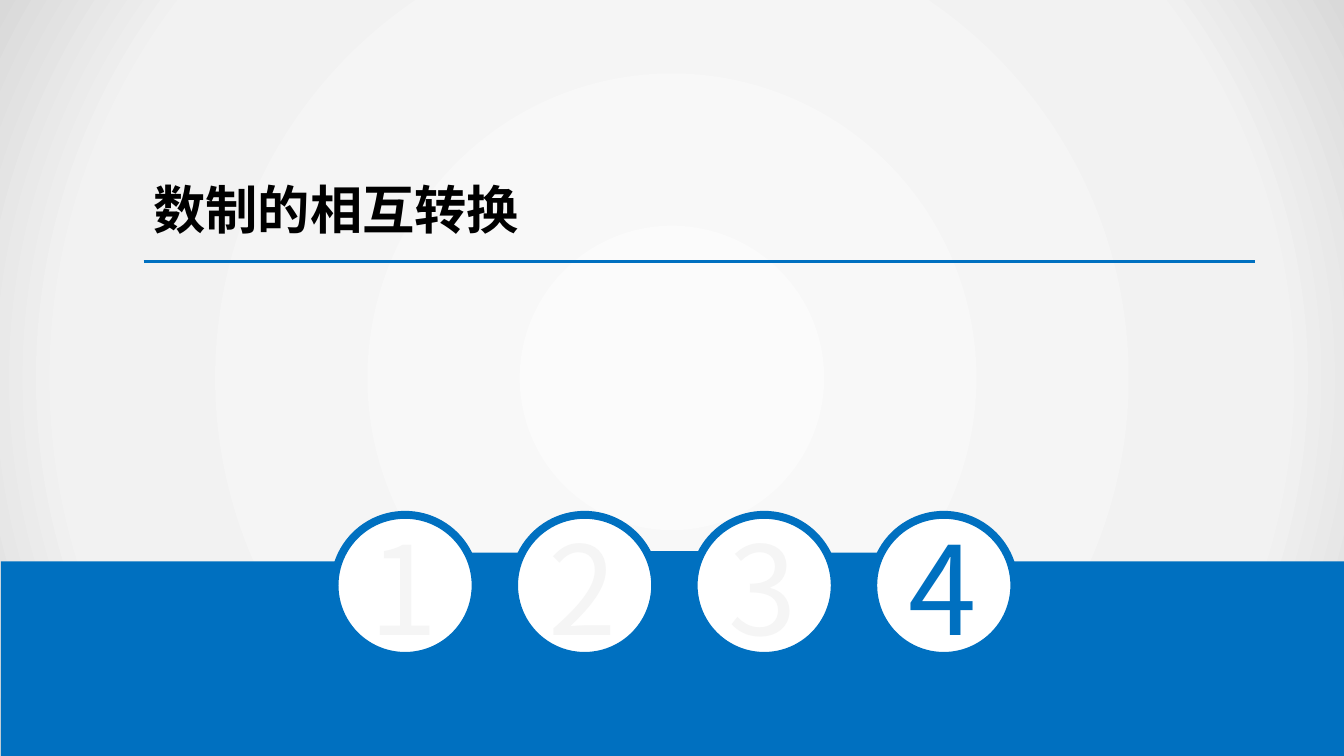
from math import cos, pi, sin

from lxml.etree import SubElement
from pptx import Presentation
from pptx.dml.color import RGBColor
from pptx.enum.shapes import MSO_CONNECTOR, MSO_SHAPE
from pptx.enum.text import MSO_ANCHOR, MSO_AUTO_SIZE
from pptx.oxml import parse_xml
from pptx.oxml.ns import nsdecls, qn
from pptx.util import Pt

HUES = {"blue": "0070C0", "white": "FFFFFF", "pale": "F5F5F5",
        "black": "000000", "back": "F2F2F2"}
GLOW = [(0, "FBFBFB"), (79, "F2F2F2"), (100, "D9D9D9")]
WIDE, HIGH = 720, 405


class Deck:
    """Holds the style and the current slide, and draws each kind of element."""

    def __init__(self, hues, face):
        self.hues, self.face = hues, face
        self.show = Presentation()
        self.show.slide_width, self.show.slide_height = Pt(WIDE), Pt(HIGH)
        self.slide = self.show.slides.add_slide(self.show.slide_layouts[6])
        fill = self.slide.background.fill
        fill.solid()
        fill.fore_color.rgb = self.hue("back")

    def hue(self, name):
        return RGBColor.from_string(self.hues[name])

    def style(self, shape, fill, line=None, width=0):
        shape.shadow.inherit = False
        shape.fill.solid()
        shape.fill.fore_color.rgb = self.hue(fill)
        if line:
            shape.line.color.rgb = self.hue(line)
            shape.line.width = Pt(width)
        else:
            shape.line.fill.background()
        return shape

    def shape(self, kind, box, fill, line=None, width=0):
        item = self.slide.shapes.add_shape(kind, *map(Pt, box))
        return self.style(item, fill, line, width)

    def glow(self, box, stops):
        item = self.shape(MSO_SHAPE.RECTANGLE, box, "back")
        marks = "".join(f'<a:gs pos="{at * 1000}"><a:srgbClr val="{tone}"/></a:gs>'
                        for at, tone in stops)
        grad = parse_xml(
            f'<a:gradFill {nsdecls("a")} rotWithShape="1"><a:gsLst>{marks}</a:gsLst>'
            '<a:path path="circle"><a:fillToRect l="50000" t="50000" r="50000" b="50000"/>'
            '</a:path></a:gradFill>')
        props = item._element.spPr
        props.replace(props.find(qn("a:solidFill")), grad)

    def band(self, top, dips, radius):
        dots = [(mid - radius * cos(pi * n / 12), top + radius * sin(pi * n / 12))
                for mid in dips for n in range(13)]
        dots += [(WIDE, top), (WIDE, HIGH), (0.5, HIGH)]
        form = self.slide.shapes.build_freeform(Pt(0.5), Pt(top))
        form.add_line_segments([(Pt(x), Pt(y)) for x, y in dots], close=True)
        self.style(form.convert_to_shape(), "blue")

    def line(self, start, end, tone, width):
        item = self.slide.shapes.add_connector(
            MSO_CONNECTOR.STRAIGHT, *map(Pt, start + end))
        item.line.color.rgb = self.hue(tone)
        item.line.width = Pt(width)
        SubElement(item._element.spPr, qn("a:effectLst"))

    def text(self, box, words, size, tone, bold=False, wrap=True):
        frame = self.slide.shapes.add_textbox(*map(Pt, box)).text_frame
        frame.word_wrap = wrap
        if wrap:
            frame.vertical_anchor = MSO_ANCHOR.MIDDLE
            frame.margin_left = frame.margin_right = Pt(5.3)
            frame.margin_top = frame.margin_bottom = Pt(2.7)
        else:
            frame.auto_size = MSO_AUTO_SIZE.SHAPE_TO_FIT_TEXT
        para = frame.paragraphs[0]
        para.text = words
        font = para.font
        font.name, font.size, font.bold = self.face, Pt(size), bold
        font.color.rgb = self.hue(tone)
        props = para._p.pPr.find(qn("a:defRPr"))
        SubElement(props, qn("a:ea")).set("typeface", self.face)


def main():
    deck = Deck(HUES, "Noto Sans CJK SC")
    step = 96.2
    deck.glow((0, 0, WIDE, HIGH), GLOW)
    deck.shape(MSO_SHAPE.RECTANGLE, (347, 296, 34, 28), "blue", "blue", 2)
    for left in (438, 249):
        deck.shape(MSO_SHAPE.RECTANGLE, (left, 296, 34, 29.5), "blue")
    deck.band(300.8, [265.3 + step * n for n in range(3)], 12)
    for n in range(4):
        deck.shape(MSO_SHAPE.OVAL, (179.2 + step * n, 275.8, 75.6, 75.6),
                   "white", "blue", 4.25)
    deck.text((77, 83.5, 305.3, 56.9), "数制的相互转换", 28, "black", bold=True)
    deck.line((77, 140.2), (672.5, 140.2), "blue", 1.25)
    for n in range(4):
        deck.text((190.8 + step * n, 270.7, 50.4, 87.1), str(n + 1), 66,
                  "blue" if n == 3 else "pale", wrap=False)
    deck.show.save("out.pptx")


if __name__ == "__main__":
    main()
